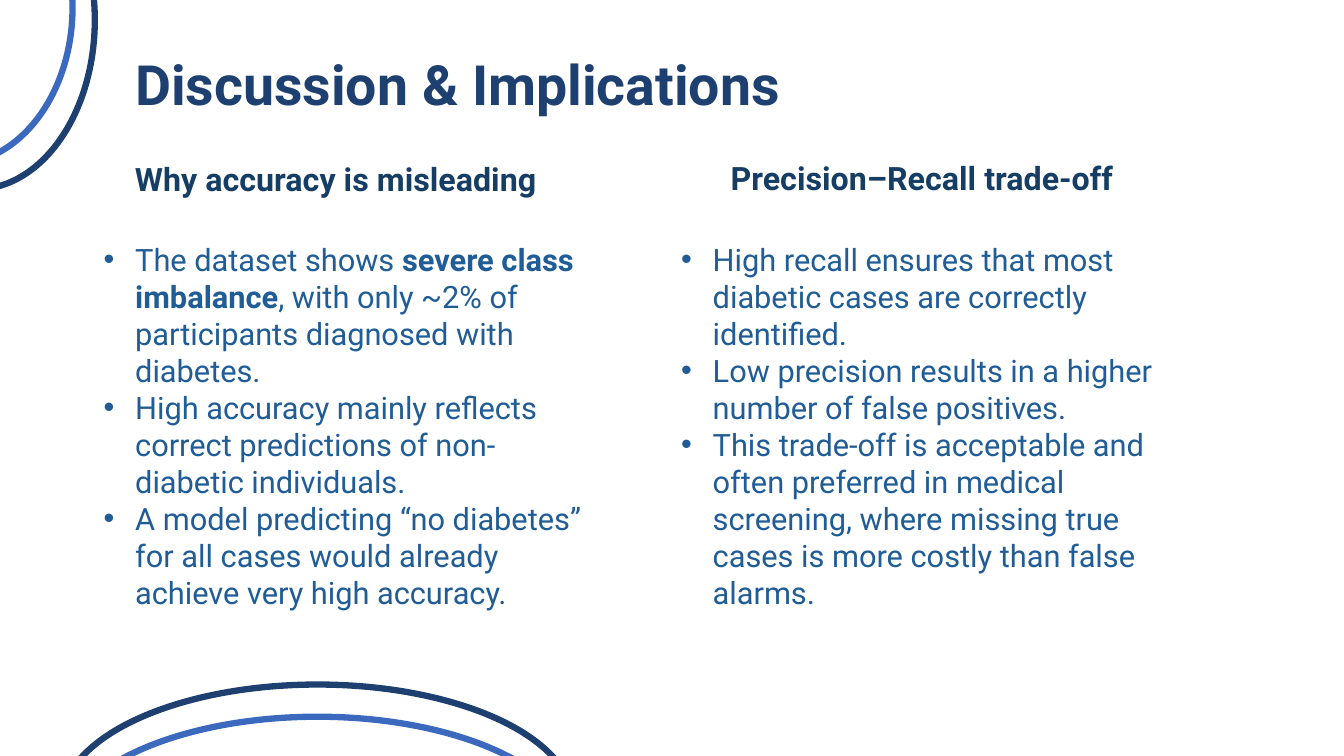
"""Builds the Discussion & Implications slide."""
from lxml import etree
from pptx import Presentation
from pptx.dml.color import RGBColor
from pptx.enum.shapes import MSO_SHAPE
from pptx.enum.text import MSO_ANCHOR, MSO_AUTO_SIZE, PP_ALIGN
from pptx.oxml.ns import qn
from pptx.util import Pt

RING = MSO_SHAPE.FLOWCHART_CONNECTOR
BOTTOM, TOP = MSO_ANCHOR.BOTTOM, MSO_ANCHOR.TOP
FIXED, GROW = MSO_AUTO_SIZE.NONE, MSO_AUTO_SIZE.SHAPE_TO_FIT_TEXT
LEFT = PP_ALIGN.LEFT
NAVY, BLUE, HEADING, BODY = "1E4070", "3B69BE", "163E64", "205C96"
INDENT = 22.5


def rgb(value):
    return RGBColor.from_string(value)


def write(sp, paragraphs, size, color, bold=False, bullet=False,
          anchor=TOP, fit=GROW, spacing=None):
    """Fill a shape; each paragraph is a list of runs, every second one bold."""
    tf = sp.text_frame
    tf.word_wrap = True
    tf.auto_size = fit
    tf.vertical_anchor = anchor
    for i, runs in enumerate(paragraphs):
        p = tf.add_paragraph() if i else tf.paragraphs[0]
        p.alignment = LEFT
        p.line_spacing = spacing
        if bullet:
            pPr = p._p.get_or_add_pPr()
            pPr.set("marL", str(Pt(INDENT)))
            pPr.set("indent", str(-Pt(INDENT)))
            etree.SubElement(pPr, qn("a:buFont"), typeface="Arial")
            etree.SubElement(pPr, qn("a:buChar"), char="•")
        for j, text in enumerate(runs):
            r = p.add_run()
            r.text = text
            r.font.name = "Roboto"
            r.font.size = Pt(size)
            r.font.bold = bold or j % 2 == 1
            r.font.color.rgb = rgb(color)


prs = Presentation()
prs.slide_width, prs.slide_height = Pt(960), Pt(540)
s = prs.slides.add_slide(prs.slide_layouts[5])

title = s.shapes.title
title.left, title.top, title.width, title.height = Pt(89.3), Pt(36), Pt(728.6), Pt(51.8)
write(title, [["Discussion & Implications"]], 39.6, NAVY, bold=True,
      anchor=BOTTOM, fit=FIXED, spacing=0.9)

rings = [
    (-102.2, -106.6, 241.9, 0, NAVY),
    (-118.1, -106.6, 223.9, 0, BLUE),
    (141.8, 391, 365.8, 270, NAVY),
    (141.8, 414, 365.8, 270, BLUE),
]
for left, top, height, rotation, color in rings:
    sp = s.shapes.add_shape(RING, Pt(left), Pt(top), Pt(169.9), Pt(height))
    sp.rotation = rotation
    sp.shadow.inherit = False
    sp.fill.background()
    sp.line.color.rgb = rgb(color)
    sp.line.width = Pt(4.5)

columns = [
    ("Why accuracy is misleading", (89.3, 110.2, 306, 56.9), (67, 168.5, 362.2, 295.9), [
        ["The dataset shows ", "severe class imbalance",
         ", with only ~2% of participants diagnosed with diabetes."],
        ["High accuracy mainly reflects correct predictions of non-diabetic individuals."],
        ["A model predicting “no diabetes” for all cases would already achieve "
         "very high accuracy."],
    ]),
    ("Precision–Recall trade-off", (514.8, 109.4, 321.8, 56.9), (479.5, 168.5, 365.8, 300.2), [
        ["High recall ensures that most diabetic cases are correctly identified."],
        ["Low precision results in a higher number of false positives."],
        ["This trade-off is acceptable and often preferred in medical screening, "
         "where missing true cases is more costly than false alarms."],
    ]),
]
for heading, heading_box, body_box, points in columns:
    sp = s.shapes.add_textbox(*map(Pt, heading_box))
    write(sp, [[heading]], 23, HEADING, bold=True)
    sp = s.shapes.add_textbox(*map(Pt, body_box))
    write(sp, points, 22, BODY, bullet=True)

prs.save("out.pptx")
